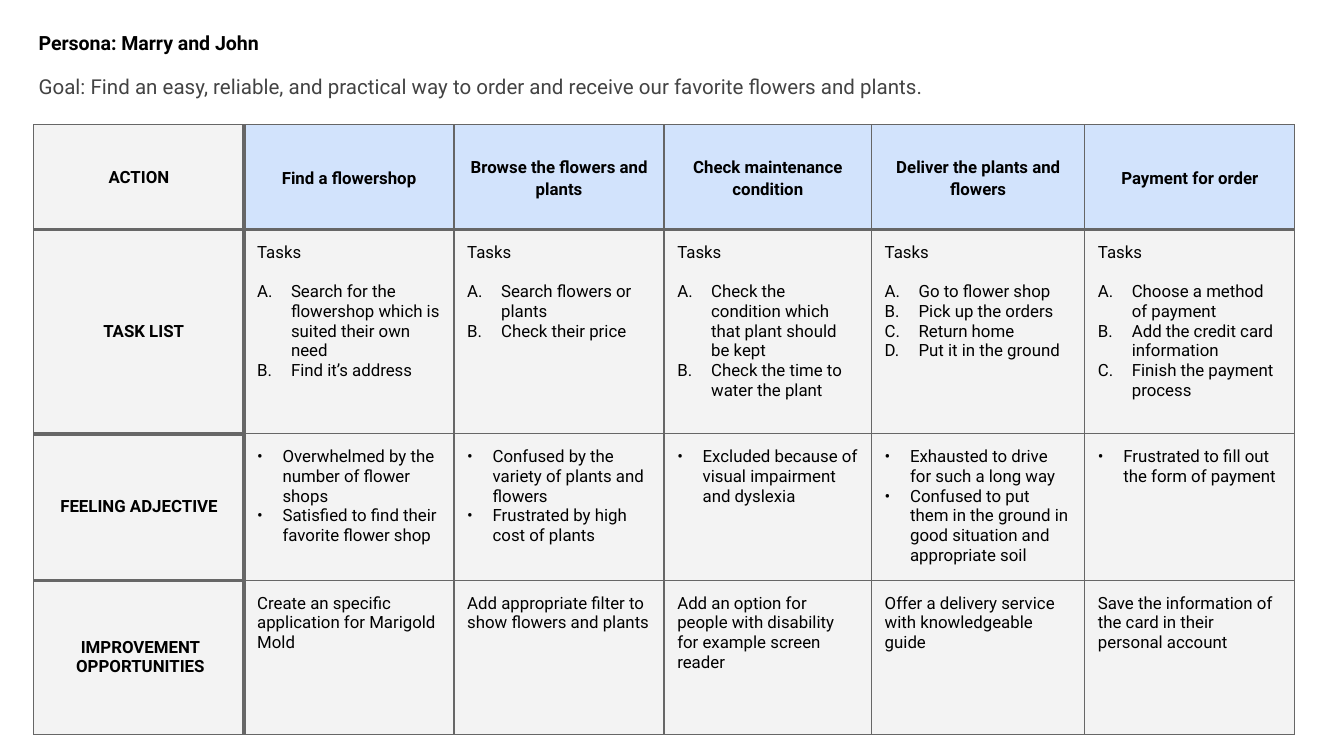
import pptx
import pptx.util
import pptx.dml.color
import pptx.enum.text
import pptx.oxml
import pptx.oxml.ns
from pptx.util import Cm, Pt

COLORS = {"text": "000000", "goal": "434343", "border": "666666",
          "cell": "F3F3F3", "header": "D2E3FC"}
FONT = "Roboto"
INSET = 0.25
THIN, THICK = 0.75, 2.25
ALIGN = pptx.enum.text.PP_ALIGN
ANCHOR = pptx.enum.text.MSO_ANCHOR

# Content
PERSONA = "Persona: Marry and John"
GOAL = ("Goal: Find an easy, reliable, and practical way to order and receive "
        "our favorite flowers and plants.")
# Row label with its left inset in cm
LABELS = [("ACTION", INSET), ("TASK LIST", 0.43), ("FEELING ADJECTIVE", INSET),
          ("IMPROVEMENT OPPORTUNITIES", 0.3)]
STEPS = [
    {"action": "Find a flowershop",
     "tasks": ["Search for the flowershop which is suited their own need",
               "Find it’s address"],
     "feelings": ["Overwhelmed by the number of flower shops",
                  "Satisfied to find their favorite flower shop"],
     "improvement": "Create an specific application for Marigold Mold"},
    {"action": "Browse the flowers and plants",
     "tasks": ["Search flowers or plants", "Check their price"],
     "feelings": ["Confused by the variety of plants and flowers",
                  "Frustrated by high cost of plants"],
     "improvement": "Add appropriate filter to show flowers and plants"},
    {"action": "Check maintenance condition",
     "tasks": ["Check the condition which that plant should be kept",
               "Check the time to water the plant"],
     "feelings": ["Excluded because of visual impairment and dyslexia"],
     "improvement": "Add an option for people with disability for example screen reader"},
    {"action": "Deliver the plants and flowers",
     "tasks": ["Go to flower shop", "Pick up the orders", "Return home",
               "Put it in the ground"],
     "feelings": ["Exhausted to drive for such a long way",
                  "Confused to put them in the ground in good situation and appropriate soil"],
     "improvement": "Offer a delivery service with knowledgeable guide"},
    {"action": "Payment for order",
     "tasks": ["Choose a method of payment", "Add the credit card information",
               "Finish the payment process"],
     "feelings": ["Frustrated to fill out the form of payment"],
     "improvement": "Save the information of the card in their personal account"},
]
COLUMN_WIDTHS = [3.97, 3.97, 3.97, 3.92, 4.03, 3.97]
ROW_HEIGHTS = [1.98, 3.86, 2.77, 2.91]


def rgb(name):
    return pptx.dml.color.RGBColor.from_string(COLORS[name])


def add_xml(parent, xml, index=None):
    namespace = pptx.oxml.ns.nsdecls("a")
    element = pptx.oxml.parse_xml(xml.replace("NS", namespace, 1))
    parent.insert(len(parent) if index is None else index, element)


def format_paragraph(paragraph, size=9, bold=False, color="text", align=ALIGN.LEFT):
    paragraph.alignment = align
    for run in paragraph.runs:
        run.font.name = FONT
        run.font.size = Pt(size)
        run.font.bold = bold
        run.font.color.rgb = rgb(color)


def write_heading(shape, box, text, **style):
    shape.left, shape.top, shape.width, shape.height = map(Cm, box)
    frame = shape.text_frame
    frame.text = text
    frame.word_wrap = True
    frame.auto_size = pptx.enum.text.MSO_AUTO_SIZE.NONE
    frame.vertical_anchor = ANCHOR.TOP
    frame.margin_left = frame.margin_right = Cm(INSET)
    frame.margin_top = frame.margin_bottom = Cm(INSET)
    format_paragraph(frame.paragraphs[0], **style)


def add_bullet(paragraph, indent, marker):
    properties = paragraph._p.get_or_add_pPr()
    properties.set("marL", str(Cm(indent)))
    properties.set("indent", str(-Cm(indent)))
    add_xml(properties, f'<a:buClr NS><a:srgbClr val="{COLORS["text"]}"/></a:buClr>')
    add_xml(properties, f'<a:buFont NS typeface="{FONT}"/>')
    add_xml(properties, marker)


def style_cell(cell, row, column):
    cell.margin_left = cell.margin_right = Cm(INSET)
    cell.margin_top = cell.margin_bottom = Cm(INSET)
    cell.vertical_anchor = ANCHOR.MIDDLE if row == 0 or column == 0 else ANCHOR.TOP
    cell.fill.solid()
    cell.fill.fore_color.rgb = rgb("header" if row == 0 and column > 0 else "cell")
    # Heavy rules part the labels, and the actions from the rows below
    heavy = {"L": column == 1, "R": column == 0,
             "T": row == 1 or (column == 0 and row > 0),
             "B": row == 0 or (column == 0 and row < len(LABELS) - 1)}
    for index, (side, is_heavy) in enumerate(heavy.items()):
        width = Pt(THICK if is_heavy else THIN)
        add_xml(cell._tc.get_or_add_tcPr(),
                f'<a:ln{side} NS w="{width}"><a:solidFill><a:srgbClr '
                f'val="{COLORS["border"]}"/></a:solidFill></a:ln{side}>', index)


def write_cell(cell, lines, **style):
    cell.text_frame.text = "\n".join(lines)
    for paragraph in cell.text_frame.paragraphs:
        format_paragraph(paragraph, **style)
    return cell.text_frame.paragraphs


presentation = pptx.Presentation()
presentation.slide_width, presentation.slide_height = Cm(25.4), Cm(14.29)
slide = presentation.slides.add_slide(presentation.slide_layouts[5])

# Persona and goal
write_heading(slide.shapes.title, (0.48, 0.33, 4.95, 1.12), PERSONA, size=10.5, bold=True)
goal_box = slide.shapes.add_textbox(0, 0, Cm(1), Cm(1))
write_heading(goal_box, (0.48, 1.14, 23.57, 0.76), GOAL, size=11, color="goal")

# Journey table
table = slide.shapes.add_table(
    len(ROW_HEIGHTS), len(COLUMN_WIDTHS), Cm(0.64), Cm(2.36),
    Cm(sum(COLUMN_WIDTHS)), Cm(sum(ROW_HEIGHTS))).table
table.first_row = table.horz_banding = False
for table_column, width in zip(table.columns, COLUMN_WIDTHS):
    table_column.width = Cm(width)
for table_row, height in zip(table.rows, ROW_HEIGHTS):
    table_row.height = Cm(height)
for row in range(len(ROW_HEIGHTS)):
    for column in range(len(COLUMN_WIDTHS)):
        style_cell(table.cell(row, column), row, column)

# Row labels
for row, (label, inset) in enumerate(LABELS):
    write_cell(table.cell(row, 0), [label], bold=True, align=ALIGN.CENTER)
    table.cell(row, 0).margin_left = Cm(inset)

# One column for each step
for column, step in enumerate(STEPS, start=1):
    action = write_cell(table.cell(0, column), [step["action"]],
                        bold=True, align=ALIGN.CENTER)
    action[0].line_spacing = 1.15

    tasks = write_cell(table.cell(1, column), ["Tasks"] + step["tasks"])
    tasks[0].space_after = Pt(10.5)
    for paragraph in tasks[1:]:
        add_bullet(paragraph, 0.64, '<a:buAutoNum NS type="alphaUcPeriod"/>')

    for paragraph in write_cell(table.cell(2, column), step["feelings"]):
        add_bullet(paragraph, 0.48, '<a:buChar NS char="•"/>')

    write_cell(table.cell(3, column), [step["improvement"]])

presentation.save("out.pptx")
